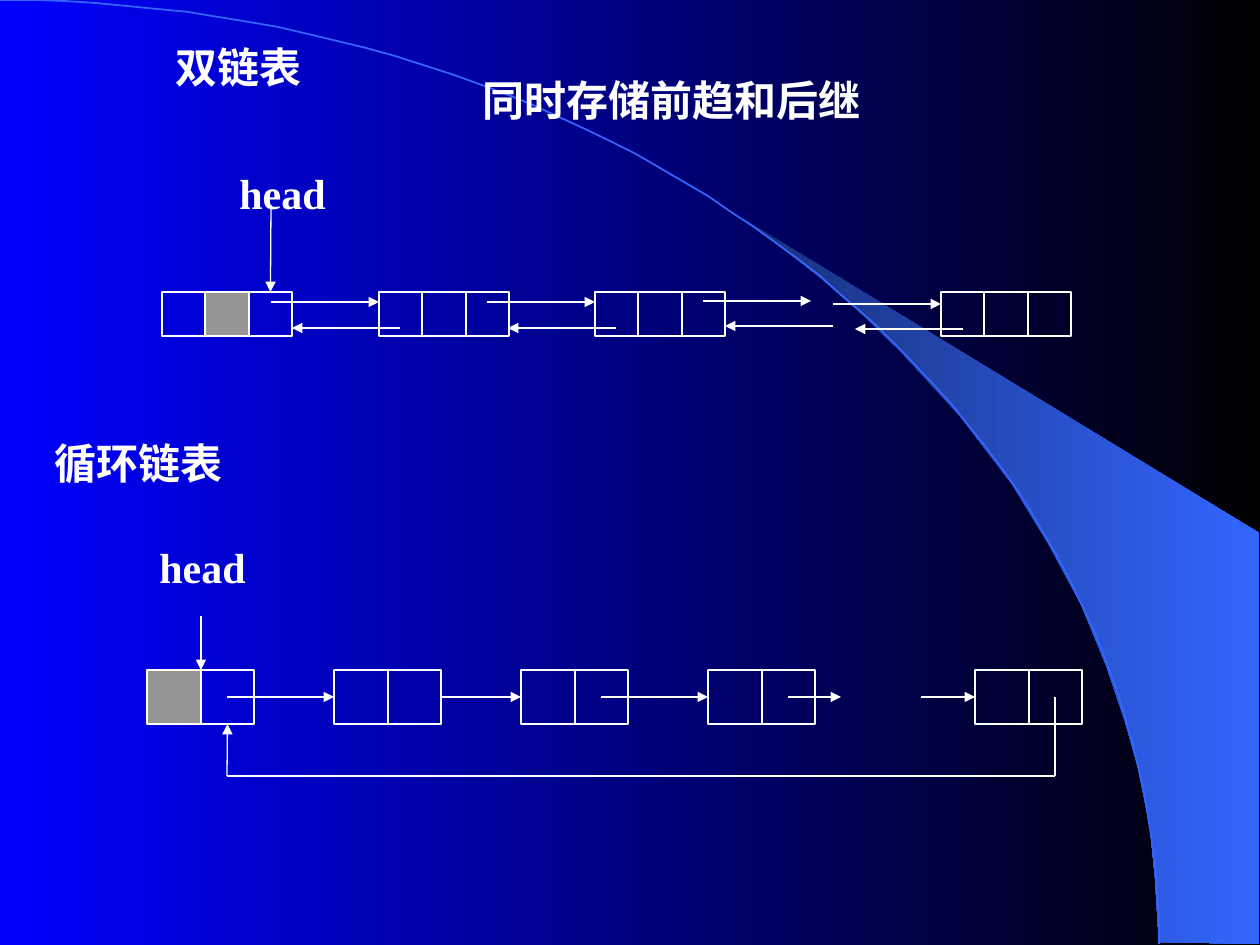
from lxml.etree import SubElement
from pptx import Presentation
from pptx.dml.color import RGBColor
from pptx.enum.shapes import MSO_CONNECTOR as Connector, MSO_SHAPE as Shape
from pptx.enum.text import MSO_AUTO_SIZE as AutoSize, PP_ALIGN as Align
from pptx.oxml.ns import qn
from pptx.util import Inches, Pt

SCALE = Inches(1) / 126
WHITE = RGBColor(0xFF, 0xFF, 0xFF)
BLACK = RGBColor(0x00, 0x00, 0x00)
BLUE = RGBColor(0x00, 0x00, 0xFF)
NAVY = RGBColor(0x18, 0x2F, 0x76)
SKY = RGBColor(0x33, 0x66, 0xFF)
GREY = RGBColor(0x96, 0x96, 0x96)
TOP, LEFT, BOTTOM, RIGHT = range(4)


def px(length):
    return round(length * SCALE)


def fill_gradient(fill, first, last):
    fill.gradient()
    fill.gradient_angle = 0
    for stop, color, position in zip(fill.gradient_stops, (first, last), (0, 1)):
        stop.color.rgb = color
        stop.position = position


def bezier(p0, p1, p2, p3, steps=60):
    """Points along a cubic Bezier curve."""
    points = []
    for step in range(steps + 1):
        t = step / steps
        weights = ((1 - t) ** 3, 3 * t * (1 - t) ** 2, 3 * t * t * (1 - t), t ** 3)
        points.append(tuple(
            sum(w * p[axis] for w, p in zip(weights, (p0, p1, p2, p3)))
            for axis in (0, 1)))
    return points


def write_text(frame, text, font="Times New Roman", size=24, color=WHITE,
               bold=True, align=Align.LEFT):
    paragraph = frame.paragraphs[0]
    paragraph.alignment = align
    run = paragraph.add_run()
    run.text = text
    run.font.name = font
    run.font.size = Pt(size)
    run.font.bold = bold
    run.font.color.rgb = color


class Diagram:
    line_color = WHITE
    line_width = Pt(0.75)

    def __init__(self, slide):
        self.slide = slide
        self.shapes = slide.shapes

    def outline(self, points, closed):
        builder = self.shapes.build_freeform(*points[0], scale=SCALE)
        builder.add_line_segments(points[1:], close=closed)
        shape = builder.convert_to_shape()
        shape.shadow.inherit = False
        return shape

    def label(self, text, left, top, width, height, grow=False, **style):
        box = self.shapes.add_textbox(px(left), px(top), px(width), px(height))
        box.text_frame.word_wrap = True
        if grow:
            box.text_frame.auto_size = AutoSize.SHAPE_TO_FIT_TEXT
        write_text(box.text_frame, text, **style)

    def node(self, left, top, width, height, fields, grey_field=None):
        """Draw a list node split into equal fields and return its cells."""
        edges = [left + round(width * i / fields) for i in range(fields + 1)]
        cells = []
        for i, (start, end) in enumerate(zip(edges, edges[1:])):
            cell = self.shapes.add_shape(
                Shape.RECTANGLE, px(start), px(top), px(end - start), px(height))
            cell.shadow.inherit = False
            if i == grey_field:
                cell.fill.solid()
                cell.fill.fore_color.rgb = GREY
            else:
                cell.fill.background()
            cell.line.color.rgb = self.line_color
            cell.line.width = self.line_width
            cells.append(cell)
        return cells

    def pointer(self, x1, y1, x2, y2, arrow=True, begin=None, end=None):
        """Draw a straight link; begin and end are (cell, side) joins."""
        link = self.shapes.add_connector(
            Connector.STRAIGHT, px(x1), px(y1), px(x2), px(y2))
        if begin:
            link.begin_connect(*begin)
        if end:
            link.end_connect(*end)
        link.line.color.rgb = self.line_color
        link.line.width = self.line_width
        if arrow:
            SubElement(link.line._get_or_add_ln(), qn("a:tailEnd"), type="triangle")
        SubElement(link._element.spPr, qn("a:effectLst"))


def draw_backdrop(diagram):
    fill_gradient(diagram.slide.background.fill, BLUE, BLACK)
    beam = diagram.outline([
        (1159, 942), (1259, 944), (1259, 533), (742, 218), (786, 251),
        (823, 280), (863, 315), (902, 353), (960, 416), (1012, 484),
        (1048, 543), (1081, 604), (1106, 665), (1125, 721), (1138, 767),
        (1150, 827), (1155, 877)], closed=True)
    fill_gradient(beam.fill, NAVY, SKY)
    beam.line.fill.background()
    arc = diagram.outline(
        bezier((0, 0), (640, 0), (1159, 422), (1159, 944)), closed=False)
    arc.fill.background()
    arc.line.color.rgb = SKY
    arc.line.width = Pt(1)


def draw_double_list(diagram):
    diagram.label("双链表", 163, 35, 242, 63, grow=True)
    head_node, *_ = [
        diagram.node(left, 292, 130, 44, 3, grey_field=1 if left == 162 else None)
        for left in (162, 379, 595, 941)]
    reach = 108
    for x, y in ((271, 302), (487, 302), (703, 301), (833, 304)):
        diagram.pointer(x, y, x + reach, y)
    for x, y in ((400, 328), (616, 328), (833, 326), (963, 329)):
        diagram.pointer(x, y, x - reach, y)
    diagram.label("head", 227, 161, 130, 66, align=Align.JUSTIFY)
    diagram.pointer(271, 205, 271, 292, end=(head_node[2], TOP))


def draw_circular_list(diagram):
    diagram.label("循环链表", 42, 431, 284, 63, grow=True)
    first, second, third, fourth, last = [
        diagram.node(left, 670, 107, 54, 2, grey_field=0 if left == 147 else None)
        for left in (147, 334, 521, 708, 975)]
    middle, loop = 697, 776
    diagram.pointer(227, middle, 334, middle, end=(second[0], LEFT))
    diagram.pointer(441, middle, 521, middle,
                    begin=(second[1], RIGHT), end=(third[0], LEFT))
    diagram.pointer(601, middle, 708, middle, end=(fourth[0], LEFT))
    diagram.pointer(788, middle, 841, middle)
    diagram.pointer(921, middle, 975, middle, end=(last[0], LEFT))
    diagram.label("head", 147, 535, 134, 81, align=Align.JUSTIFY)
    diagram.pointer(201, 616, 201, 670)
    diagram.pointer(1055, middle, 1055, loop, arrow=False)
    diagram.pointer(227, loop, 1055, loop, arrow=False)
    diagram.pointer(227, loop, 227, 724, end=(first[1], BOTTOM))


def main():
    deck = Presentation()
    deck.slide_width, deck.slide_height = px(1260), px(945)
    diagram = Diagram(deck.slides.add_slide(deck.slide_layouts[6]))
    draw_backdrop(diagram)
    draw_double_list(diagram)
    draw_circular_list(diagram)
    diagram.label("同时存储前趋和后继", 422, 68, 499, 63, grow=True,
                  font="Arial", align=Align.CENTER)
    deck.save("out.pptx")


if __name__ == "__main__":
    main()
